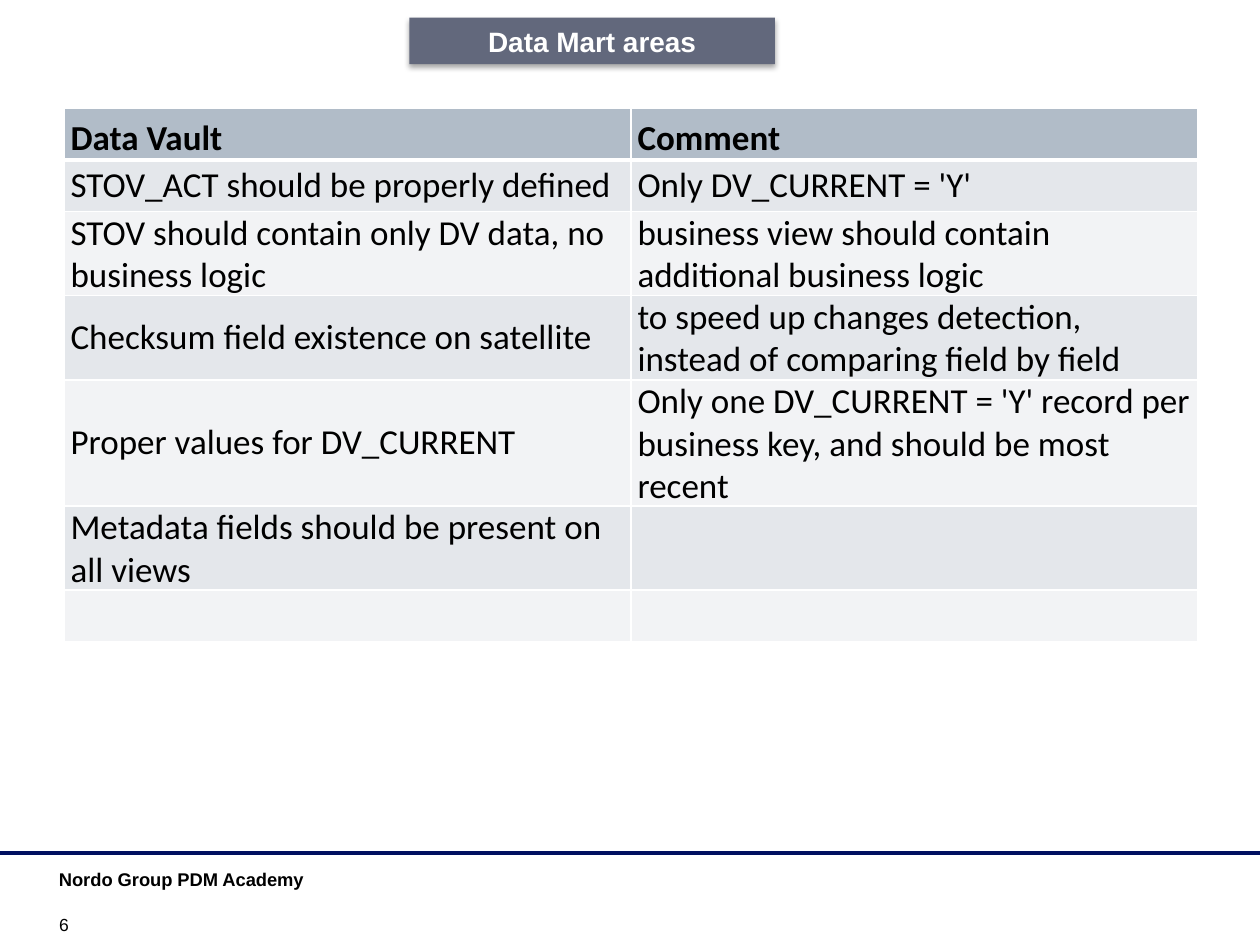
import pptx
import pptx.util
import pptx.dml.color
import pptx.enum.shapes
import pptx.enum.text
import pptx.oxml
import pptx.oxml.ns

Inches = pptx.util.Inches
Pt = pptx.util.Pt
RGBColor = pptx.dml.color.RGBColor
Anchor = pptx.enum.text.MSO_ANCHOR

BLACK = RGBColor(0x00, 0x00, 0x00)
WHITE = RGBColor(0xFF, 0xFF, 0xFF)
NAVY = RGBColor(0x00, 0x0F, 0x60)
SLATE = RGBColor(0x62, 0x68, 0x7C)
HEAD = RGBColor(0xB1, 0xBC, 0xC8)
BANDS = [RGBColor(0xE4, 0xE7, 0xEB), RGBColor(0xF2, 0xF3, 0xF5)]

ROWS = [
    ("Data Vault", "Comment"),
    ("STOV_ACT should be properly defined", "Only DV_CURRENT = 'Y'"),
    ("STOV should contain only DV data, no business logic",
     "business view should contain additional business logic"),
    ("Checksum field existence on satellite",
     "to speed up changes detection, instead of comparing field by field"),
    ("Proper values for DV_CURRENT",
     "Only one DV_CURRENT = 'Y' record per business key, and should be most recent"),
    ("Metadata fields should be present on all views", ""),
    ("", ""),
]

SHADOW = (
    '<a:outerShdw %s blurRad="40000" dist="23000" dir="5400000" rotWithShape="0">'
    '<a:srgbClr val="000000"><a:alpha val="35000"/></a:srgbClr></a:outerShdw>'
    % pptx.oxml.ns.nsdecls("a")
)


def write(frame, text, size, color=BLACK, bold=False, face="Arial"):
    par = frame.paragraphs[0]
    par.text = text
    font = par.font
    font.name, font.size, font.bold = face, Pt(size), bold
    font.color.rgb = color
    return par


def add_label(slide, box, text, size, bold=False, anchor=Anchor.TOP):
    frame = slide.shapes.add_textbox(*map(Inches, box)).text_frame
    frame.word_wrap = bold is False
    frame.vertical_anchor = anchor
    write(frame, text, size, bold=bold)


def add_rule(slide, top):
    kind = pptx.enum.shapes.MSO_CONNECTOR.STRAIGHT
    rule = slide.shapes.add_connector(kind, 0, Inches(top), Inches(10), Inches(top))
    rule.line.color.rgb = NAVY
    rule.line.width = Pt(2)
    props = rule._element.spPr
    props.append(pptx.oxml.parse_xml("<a:effectLst %s/>" % pptx.oxml.ns.nsdecls("a")))


def add_banner(slide, box, text):
    kind = pptx.enum.shapes.MSO_SHAPE.RECTANGLE
    shape = slide.shapes.add_shape(kind, *map(Inches, box))
    shape.fill.solid()
    shape.fill.fore_color.rgb = SLATE
    shape.line.fill.background()
    shape.shadow.inherit = False
    effects = shape._element.spPr.find(pptx.oxml.ns.qn("a:effectLst"))
    effects.append(pptx.oxml.parse_xml(SHADOW))
    par = write(shape.text_frame, text, 16, WHITE, True)
    par.alignment = pptx.enum.text.PP_ALIGN.CENTER


def set_borders(cell, top, bottom):
    props = cell._tc.get_or_add_tcPr()
    for side, width in (("L", 1), ("R", 1), ("T", top), ("B", bottom)):
        props.append(pptx.oxml.parse_xml(
            '<a:ln%s %s w="%d"><a:solidFill><a:srgbClr val="%s"/></a:solidFill></a:ln%s>'
            % (side, pptx.oxml.ns.nsdecls("a"), Pt(width), WHITE, side)))


def fill_cell(cell, text, row):
    set_borders(cell, 3 if row == 1 else 1, 3 if row == 0 else 1)
    cell.fill.solid()
    cell.fill.fore_color.rgb = BANDS[(row - 1) % 2] if row else HEAD
    if text:
        cell.margin_left = cell.margin_right = Inches(0.05)
        cell.margin_top = cell.margin_bottom = 0
        cell.vertical_anchor = Anchor.MIDDLE if row else Anchor.BOTTOM
        write(cell.text_frame, text, 20, bold=row == 0, face="Calibri")


def add_grid(slide, left, top, width, high):
    table = slide.shapes.add_table(
        len(ROWS), 2, Inches(left), Inches(top),
        Inches(width), Inches(high * len(ROWS))).table
    for row, texts in enumerate(ROWS):
        for col, text in enumerate(texts):
            fill_cell(table.cell(row, col), text, row)


def main():
    deck = pptx.Presentation()
    deck.slide_width, deck.slide_height = Inches(10), Inches(7.5)
    slide = deck.slides.add_slide(deck.slide_layouts[6])
    add_rule(slide, 6.77)
    add_label(slide, (0.37, 6.84, 2.33, 0.24), "Nordo Group PDM Academy", 10.5, True)
    add_label(slide, (0.37, 7.24, 0.55, 0.23), "6", 10, anchor=Anchor.BOTTOM)
    add_banner(slide, (3.25, 0.14, 2.9, 0.37), "Data Mart areas")
    add_grid(slide, 0.51, 0.86, 9, 0.41)
    deck.save("out.pptx")


if __name__ == "__main__":
    main()
